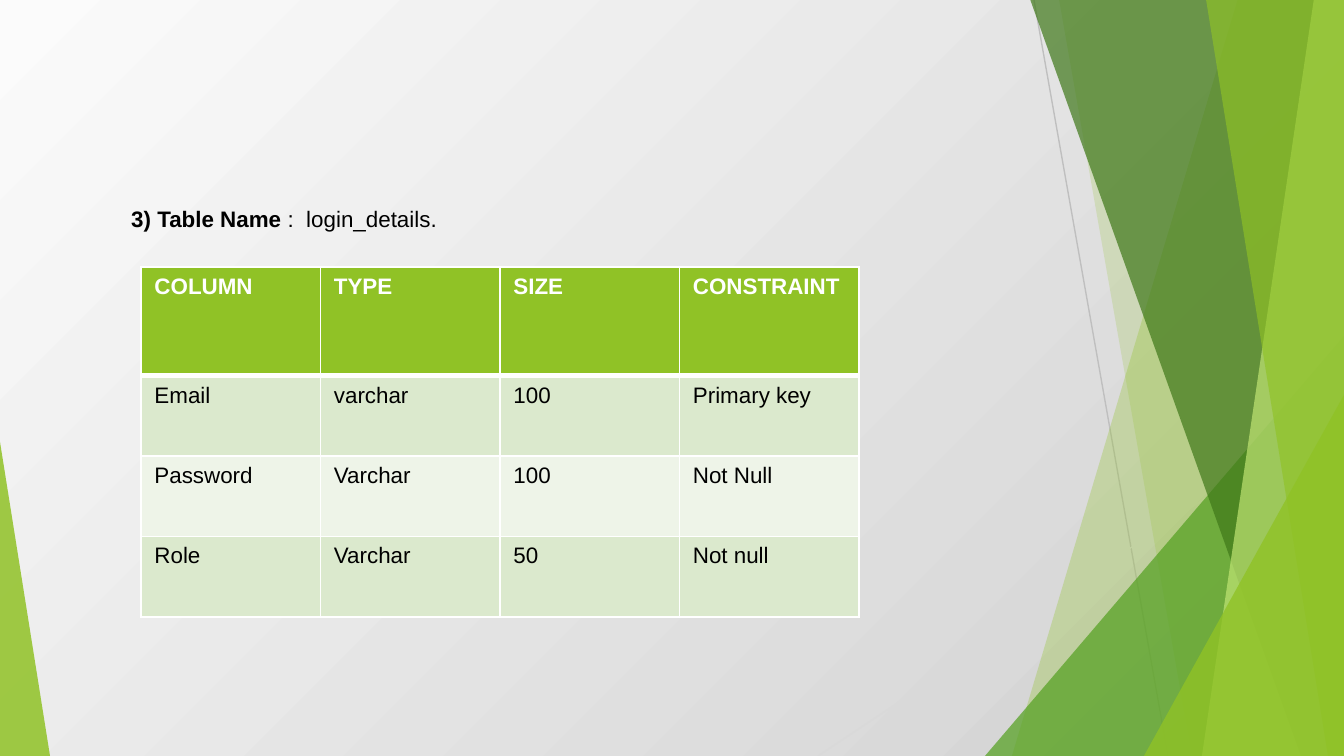
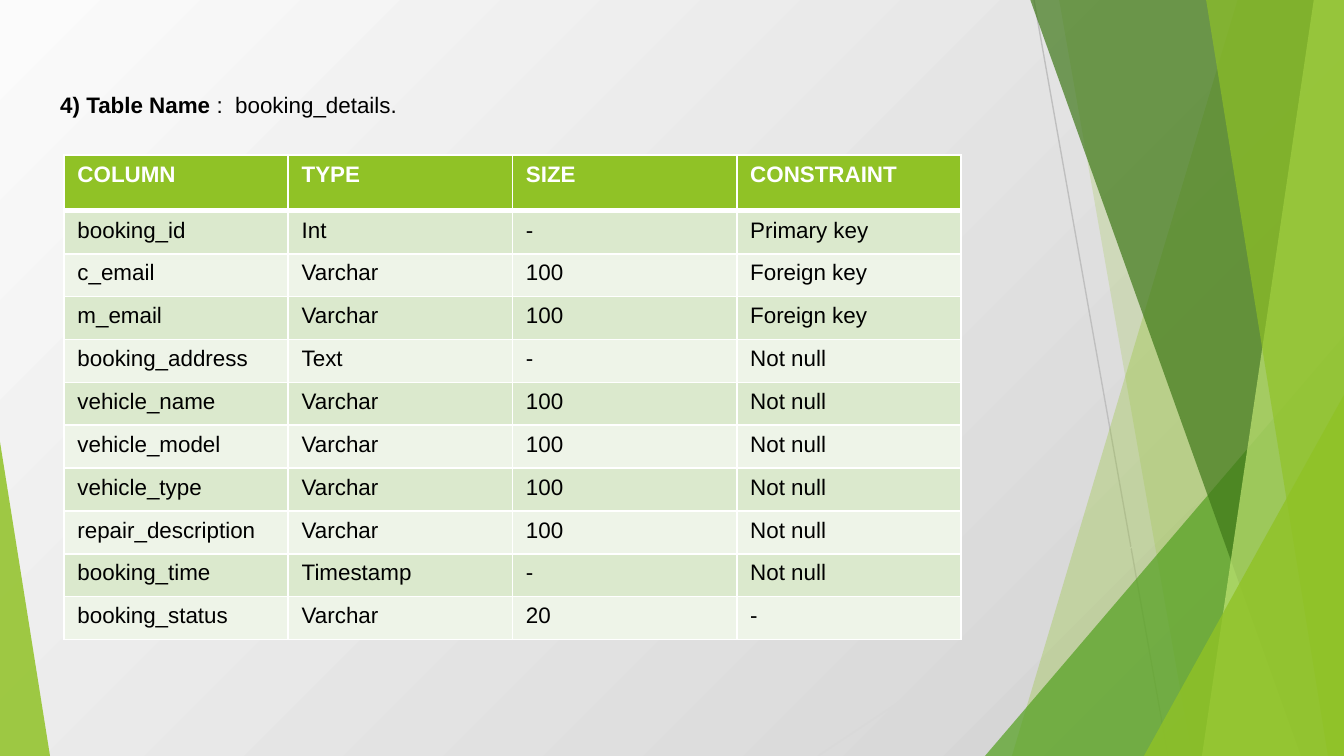
from dataclasses import dataclass

from lxml import etree
from pptx import Presentation
from pptx.dml.color import RGBColor
from pptx.enum.shapes import MSO_CONNECTOR, MSO_SHAPE
from pptx.enum.text import MSO_ANCHOR, MSO_AUTO_SIZE
from pptx.oxml.ns import qn
from pptx.util import Inches, Pt

STRAIGHT = MSO_CONNECTOR.STRAIGHT
TRIANGLE = MSO_SHAPE.ISOSCELES_TRIANGLE
MIDDLE = MSO_ANCHOR.MIDDLE
GROW = MSO_AUTO_SIZE.SHAPE_TO_FIT_TEXT
SCALE = Inches(1) / 134.4
WIDTH, HEIGHT = 1344, 756


@dataclass(frozen=True)
class Theme:
    font: str = "Arial"
    size: float = 12
    hairline: float = 0.75
    border: float = 1
    header_rule: float = 3
    text: str = "000000"
    white: str = "FFFFFF"
    bg_light: str = "FBFBFB"
    bg_dark: str = "D0D0D0"
    line_dark: str = "BFBFBF"
    line_light: str = "D9D9D9"
    lime: str = "90C226"
    pale_lime: str = "C0E474"
    green: str = "54A021"
    forest: str = "3F7819"
    bands: tuple = ("DBE9CD", "EEF4E8")


def px(n):
    return round(n * SCALE)


def rgb(color):
    return RGBColor.from_string(color)


class Deck:
    def __init__(self, theme):
        self.t = theme
        self.prs = Presentation()
        self.prs.slide_width = px(WIDTH)
        self.prs.slide_height = px(HEIGHT)
        self.s = None

    def slide(self):
        self.s = self.prs.slides.add_slide(self.prs.slide_layouts[6])
        fill = self.s.background.fill
        fill.gradient()
        fill.gradient_angle = 315
        for stop, color in zip(fill.gradient_stops, (self.t.bg_light, self.t.bg_dark)):
            stop.color.rgb = rgb(color)
        self.facets()

    def facets(self):
        t = self.t
        self.line(1034, 0, 1168, HEIGHT, t.line_dark)
        self.line(WIDTH, 406, 818, HEIGHT, t.line_light)
        self.facet(1238, 1012, t.lime, 30)
        self.facet(1059, 1192, t.lime, 20)
        self.triangle(985, 336, 359, 1, t.green, 72)
        self.facet(1030, 1301, t.forest, 70)
        self.facet(1314, 1202, t.pale_lime, 70)
        self.facet(1206, 1328, t.lime, 65)
        self.triangle(1144, 395, 200, 1, t.lime, 80)
        self.triangle(0, 442, 50, 0, t.lime, 85)

    def line(self, x1, y1, x2, y2, color):
        line = self.s.shapes.add_connector(STRAIGHT, px(x1), px(y1), px(x2), px(y2))
        line.line.color.rgb = rgb(color)
        line.line.width = Pt(self.t.hairline)
        etree.SubElement(line._element.spPr, qn("a:effectLst"))

    def paint(self, sp, color, opacity):
        sp.shadow.inherit = False
        sp.line.fill.background()
        sp.fill.solid()
        sp.fill.fore_color.rgb = rgb(color)
        clr = sp._element.spPr.find(qn("a:solidFill")).find(qn("a:srgbClr"))
        etree.SubElement(clr, qn("a:alpha")).set("val", str(opacity * 1000))

    def facet(self, top_x, bottom_x, color, opacity):
        outline = self.s.shapes.build_freeform(top_x, -1, SCALE)
        outline.add_line_segments([(WIDTH, -1), (WIDTH, HEIGHT), (bottom_x, HEIGHT)])
        self.paint(outline.convert_to_shape(), color, opacity)

    def triangle(self, x, y, w, apex, color, opacity):
        sp = self.s.shapes.add_shape(TRIANGLE, px(x), px(y), px(w), px(HEIGHT - y))
        sp.adjustments[0] = apex
        self.paint(sp, color, opacity)

    def style(self, p, color):
        p.font.name = self.t.font
        p.font.size = Pt(self.t.size)
        p.font.color.rgb = rgb(color)

    def caption(self, x, y, w, label, name):
        tf = self.s.shapes.add_textbox(px(x), px(y), px(w), px(40)).text_frame
        tf.word_wrap = False
        tf.auto_size = GROW
        tf.vertical_anchor = MIDDLE
        p = tf.paragraphs[0]
        self.style(p, self.t.text)
        for text, bold in ((label, True), (f" :  {name}", False)):
            r = p.add_run()
            r.text = text
            r.font.bold = bold

    def borders(self, cell, top, bottom):
        tcPr = cell._tc.get_or_add_tcPr()
        widths = {"L": self.t.border, "R": self.t.border, "T": top, "B": bottom}
        for i, (side, width) in enumerate(widths.items()):
            ln = etree.Element(qn(f"a:ln{side}"), w=str(Pt(width)))
            fill = etree.SubElement(ln, qn("a:solidFill"))
            etree.SubElement(fill, qn("a:srgbClr")).set("val", self.t.white)
            tcPr.insert(i, ln)

    def table(self, x, y, w, header_h, body_h, rows):
        t = self.t
        rows = [("COLUMN", "TYPE", "SIZE", "CONSTRAINT"), *rows]
        n_cols, n_body = len(rows[0]), len(rows) - 1
        table = self.s.shapes.add_table(
            len(rows), n_cols, px(x), px(y), px(w), px(header_h + body_h)).table
        table.horz_banding = False
        for col in table.columns:
            col.width = px(w / n_cols)
        for i, values in enumerate(rows):
            header = i == 0
            table.rows[i].height = px(header_h if header else body_h / n_body)
            for j, value in enumerate(values):
                cell = table.cell(i, j)
                cell.text = value
                cell.fill.solid()
                cell.fill.fore_color.rgb = rgb(t.lime if header else t.bands[(i - 1) % 2])
                p = cell.text_frame.paragraphs[0]
                self.style(p, t.white if header else t.text)
                p.font.bold = header
                self.borders(cell, t.header_rule if i == 1 else t.border,
                             t.header_rule if header else t.border)


deck = Deck(Theme())

deck.slide()
deck.caption(118, 199, 339, "3) Table Name", "login_details.")
deck.table(141, 267, 718, 109, 241, [
    ("Email", "varchar", "100", "Primary key"),
    ("Password", "Varchar", "100", "Not Null"),
    ("Role", "Varchar", "50", "Not null"),
])

deck.slide()
deck.caption(47, 85, 372, "4) Table Name", "booking_details.")
deck.table(64, 155, 897, 56, 429, [
    ("booking_id", "Int", "-", "Primary key"),
    ("c_email", "Varchar", "100", "Foreign key"),
    ("m_email", "Varchar", "100", "Foreign key"),
    ("booking_address", "Text", "-", "Not null"),
    ("vehicle_name", "Varchar", "100", "Not null"),
    ("vehicle_model", "Varchar", "100", "Not null"),
    ("vehicle_type", "Varchar", "100", "Not null"),
    ("repair_description", "Varchar", "100", "Not null"),
    ("booking_time", "Timestamp", "-", "Not null"),
    ("booking_status", "Varchar", "20", "-"),
])

deck.prs.save("out.pptx")
